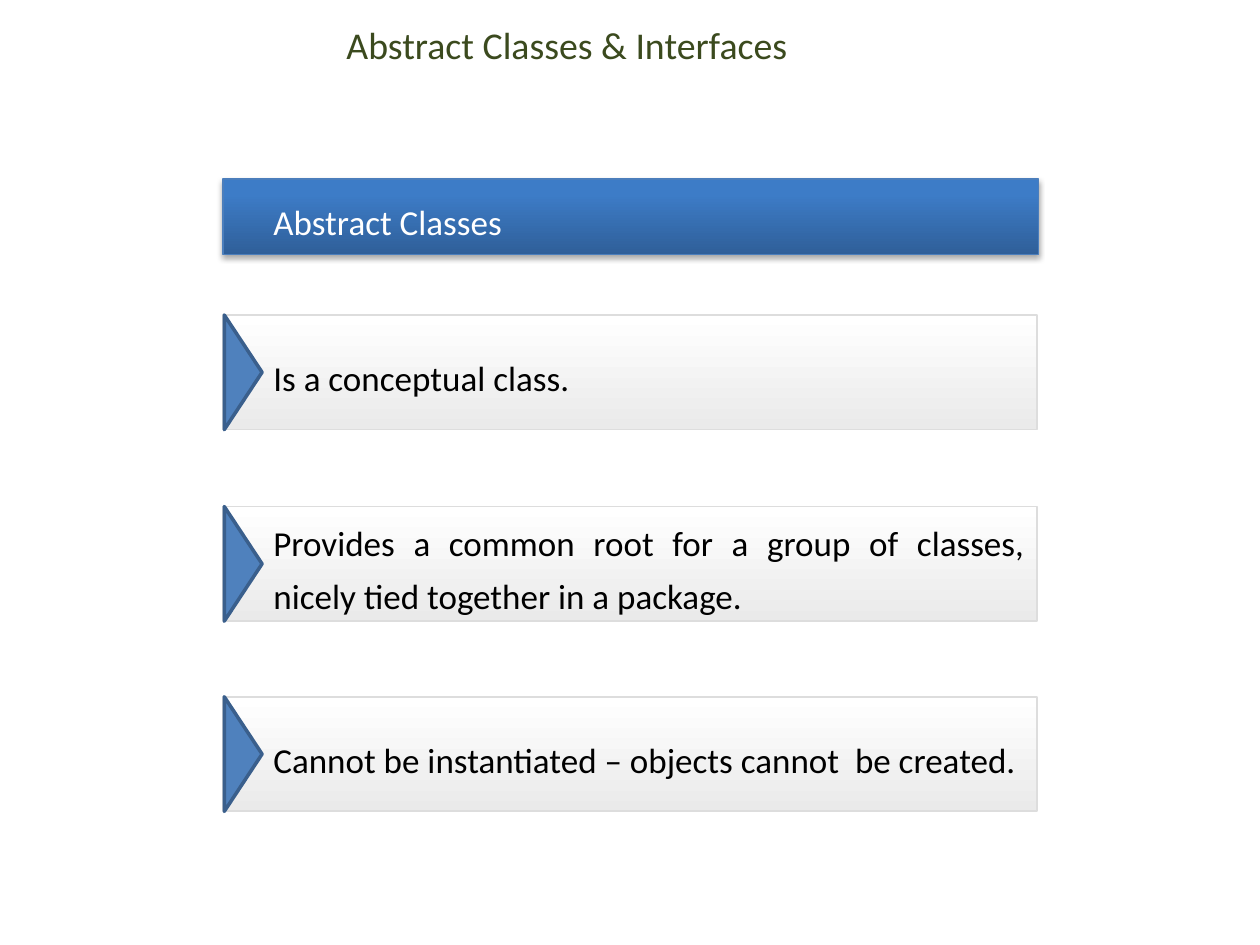
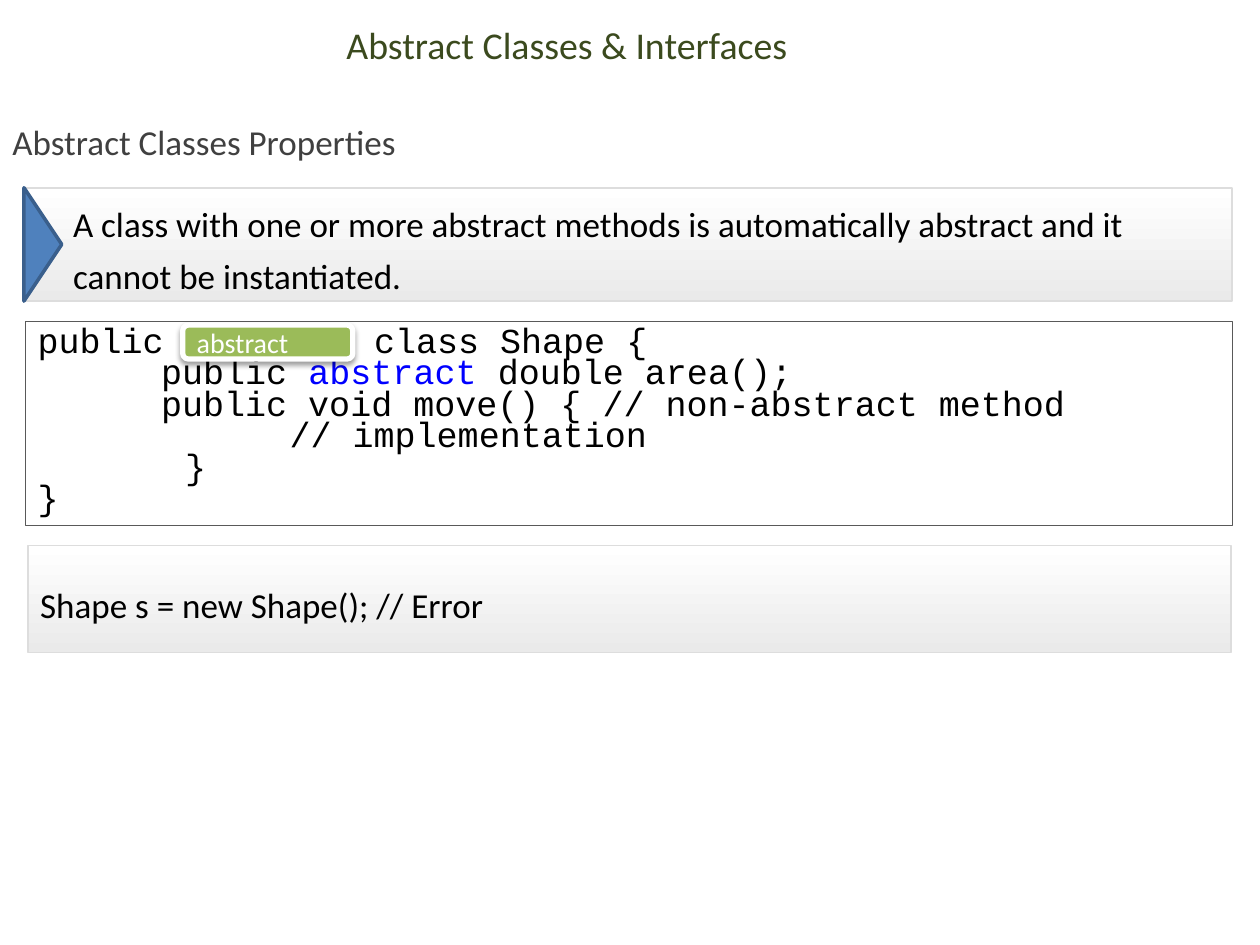
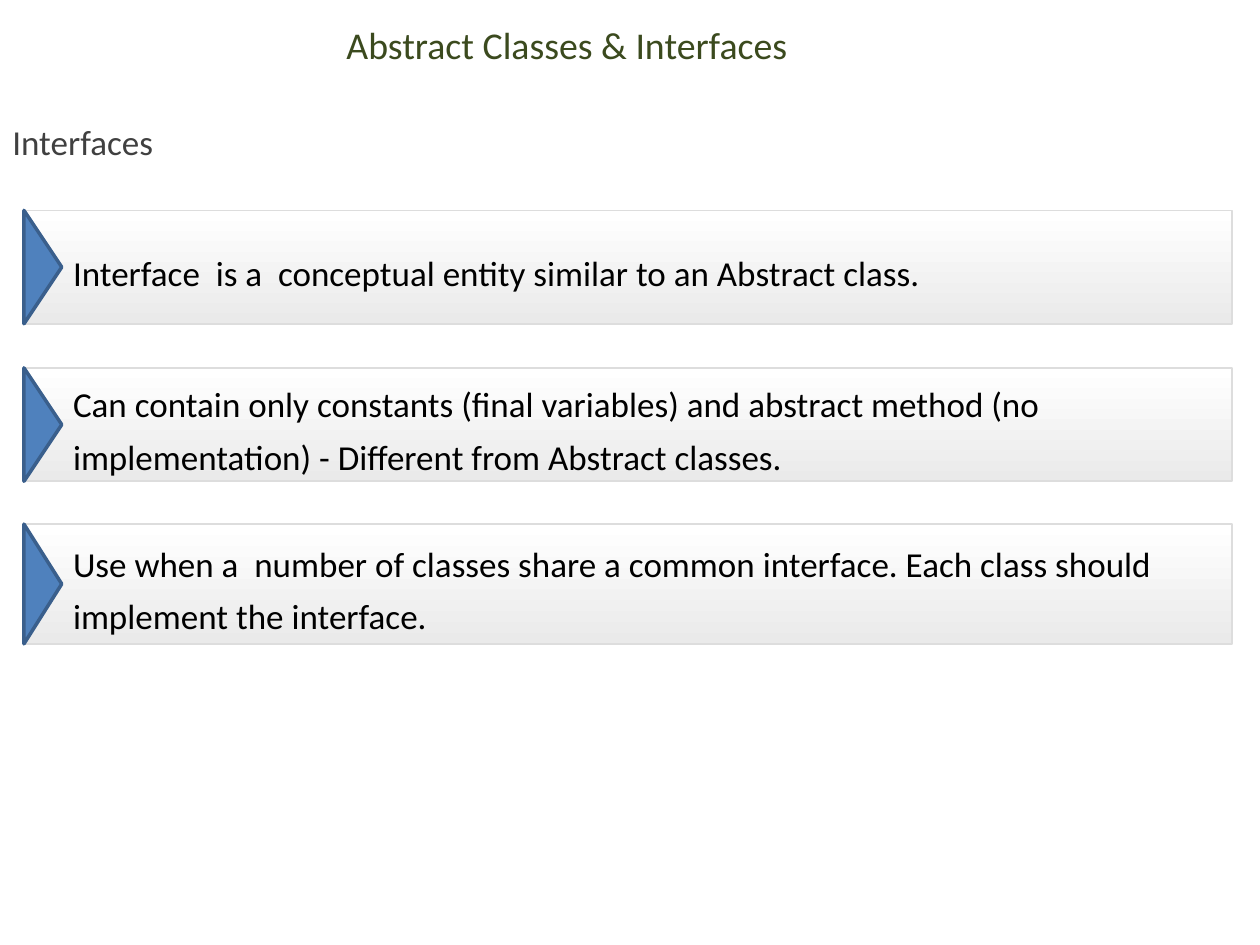
from pptx import Presentation
from pptx.dml.color import RGBColor
from pptx.enum.shapes import MSO_SHAPE as SHAPE
from pptx.enum.text import MSO_ANCHOR as ANCHOR, PP_ALIGN as ALIGN
from pptx.oxml import parse_xml
from pptx.oxml.ns import nsdecls
from pptx.util import Inches, Pt

COLORS = {
    "title": "3B4A1E", "heading": "404040", "black": "000000", "white": "FFFFFF",
    "bar_end": "EAEAEA", "bar_line": "DDDDDD",
    "header_dark": "2F5F99", "header_light": "3D7CC7", "header_line": "4B7EBC",
    "arrow": "4F81BD", "arrow_line": "3A5F8C",
    "code_line": "595959", "keyword": "0000FF", "tag": "9BBB59",
}
RGB = {name: RGBColor.from_string(value) for name, value in COLORS.items()}
TITLE = "Abstract Classes & Interfaces"
ARROW_W = 0.3


def add_text(sp, *runs, size=20, font="Calibri", align=ALIGN.LEFT, spacing=None,
             anchor=ANCHOR.MIDDLE, insets=(0.1, 0.05, 0.1, 0.05), indent=0):
    """Add one paragraph of (text, colour name) runs to a shape."""
    tf = sp.text_frame
    tf.word_wrap = True
    tf.vertical_anchor = anchor
    tf.margin_left, tf.margin_top, tf.margin_right, tf.margin_bottom = map(Inches, insets)
    p = tf.add_paragraph() if tf.text else tf.paragraphs[0]
    p.alignment = align
    p.line_spacing = spacing
    if indent:
        p._p.get_or_add_pPr().set("marL", str(Inches(indent)))
    for text, color in runs:
        r = p.add_run()
        r.text = text
        r.font.name, r.font.size = font, Pt(size)
        r.font.color.rgb = RGB[color]
    return p


def add_shape(shapes, kind, box, fill, line, width, gradient_angle=270, shadow_alpha=0):
    """Add a preset shape; fill is None, a colour name or a pair for a gradient."""
    sp = shapes.add_shape(kind, *map(Inches, box))
    sp.shadow.inherit = False
    if fill is None:
        sp.fill.background()
    elif isinstance(fill, str):
        sp.fill.solid()
        sp.fill.fore_color.rgb = RGB[fill]
    else:
        sp.fill.gradient()
        sp.fill.gradient_angle = gradient_angle
        for stop, color in zip(sp.fill.gradient_stops, fill):
            stop.color.rgb = RGB[color]
    sp.line.color.rgb = RGB[line]
    sp.line.width = Pt(width)
    if shadow_alpha:
        sp._element.spPr.find(".//{*}effectLst").append(parse_xml(
            f'<a:outerShdw {nsdecls("a")} blurRad="{Pt(3.1)}" dist="{Pt(1.8)}" '
            f'dir="5400000" rotWithShape="0"><a:srgbClr val="{COLORS["black"]}">'
            f'<a:alpha val="{shadow_alpha * 1000}"/></a:srgbClr></a:outerShdw>'))
    return sp


prs = Presentation()
prs.slide_width, prs.slide_height = Inches(10), Inches(7.5)

# Each slide: heading, left and width of its bars, alignment, then (top, height, text)
PAGES = [
    (None, 1.77, 6.46, ALIGN.JUSTIFY, [
        (2.5, 0.91, "Is a conceptual class."),
        (4.02, 0.91, "Provides a common root for a group of classes, "
                     "nicely tied together in a package."),
        (5.53, 0.91, "Cannot be instantiated – objects cannot  be created."),
    ]),
    ("Abstract Classes Properties", 0.18, 9.6, ALIGN.LEFT, [
        (1.49, 0.9, "A class with one or more abstract methods is automatically "
                    "abstract and it cannot be instantiated."),
    ]),
    ("Interfaces", 0.18, 9.6, ALIGN.LEFT, [
        (1.67, 0.9, "Interface  is a  conceptual entity similar to an Abstract class."),
        (2.92, 0.9, "Can contain only constants (final variables) and abstract method "
                    "(no implementation) - Different from Abstract classes."),
        (4.16, 0.95, "Use when a  number of classes share a common interface. "
                     "Each class should implement the interface."),
    ]),
]
BAR_STYLE = {"fill": ("white", "bar_end"), "line": "bar_line", "width": 1}

for heading, left, width, align, bars in PAGES:
    s = prs.slides.add_slide(prs.slide_layouts[6])
    title = s.shapes.add_textbox(Inches(0), Inches(0.14), Inches(9), Inches(0.43))
    add_text(title, (TITLE, "title"), size=21.6, align=ALIGN.CENTER)
    if heading:
        sp = s.shapes.add_textbox(Inches(0), Inches(0.74), Inches(9.76), Inches(0.54))
        add_text(sp, (heading, "heading"), spacing=1.5, anchor=ANCHOR.TOP)
    for top, height, text in bars:
        group = s.shapes.add_group_shape()
        bar = add_shape(group.shapes, SHAPE.RECTANGLE, (left, top, width, height), **BAR_STYLE)
        add_text(bar, (text, "black"), align=align, spacing=Pt(30), insets=(0.4, 0.1, 0.1, 0.1))
        # The triangle is turned a quarter, so its width is the bar's height
        arrow_left = left + 0.16 - height / 2
        arrow_top = top + (height - ARROW_W) / 2
        arrow = add_shape(group.shapes, SHAPE.ISOSCELES_TRIANGLE,
                          (arrow_left, arrow_top, height, ARROW_W), "arrow", "arrow_line", 2)
        arrow.rotation = 90

classes_slide, properties_slide, _ = prs.slides

# Abstract Classes: header bar
header = add_shape(classes_slide.shapes, SHAPE.RECTANGLE, (1.77, 1.42, 6.47, 0.6),
                   ("header_dark", "header_light"), "header_line", 0.75,
                   gradient_angle=90, shadow_alpha=35)
header.fill.gradient_stops[1].position = 0.8
add_text(header, ("Abstract Classes", "white"), spacing=Pt(30), insets=(0.4, 0.1, 0, 0.1))

# Abstract Classes Properties: code, its failing use and the keyword tag
code = add_shape(properties_slide.shapes, SHAPE.RECTANGLE, (0.2, 2.55, 9.58, 1.62),
                 None, "code_line", 0.75)
CODE_LINES = [
    (0, [("public\tclass Shape {", "black")]),
    (0.98, [("public ", "black"), ("abstract ", "keyword"), ("double area();", "black")]),
    (0.98, [("public void move() { // non-abstract method", "black")]),
    (2, [("// implementation", "black")]),
    (1.17, [("}", "black")]),
    (0, [("}", "black")]),
]
for indent, runs in CODE_LINES:
    add_text(code, *runs, font="Courier New", spacing=Pt(18), indent=indent)
# The tab leaves room for the keyword tag
code.text_frame.paragraphs[0]._p.get_or_add_pPr().append(parse_xml(
    f'<a:tabLst {nsdecls("a")}><a:tab pos="{Inches(2.67)}" algn="l"/></a:tabLst>'))

usage = add_shape(properties_slide.shapes, SHAPE.RECTANGLE, (0.22, 4.33, 9.55, 0.85), **BAR_STYLE)
add_text(usage, ("Shape s = new Shape(); // Error", "black"), align=ALIGN.JUSTIFY,
         spacing=Pt(30), insets=(0.1, 0.1, 0.1, 0.1))

tag = add_shape(properties_slide.shapes, SHAPE.ROUNDED_RECTANGLE, (1.45, 2.58, 1.35, 0.27),
                "tag", "white", 3, shadow_alpha=38)
add_text(tag, ("abstract", "white"), size=16)

prs.save("out.pptx")
